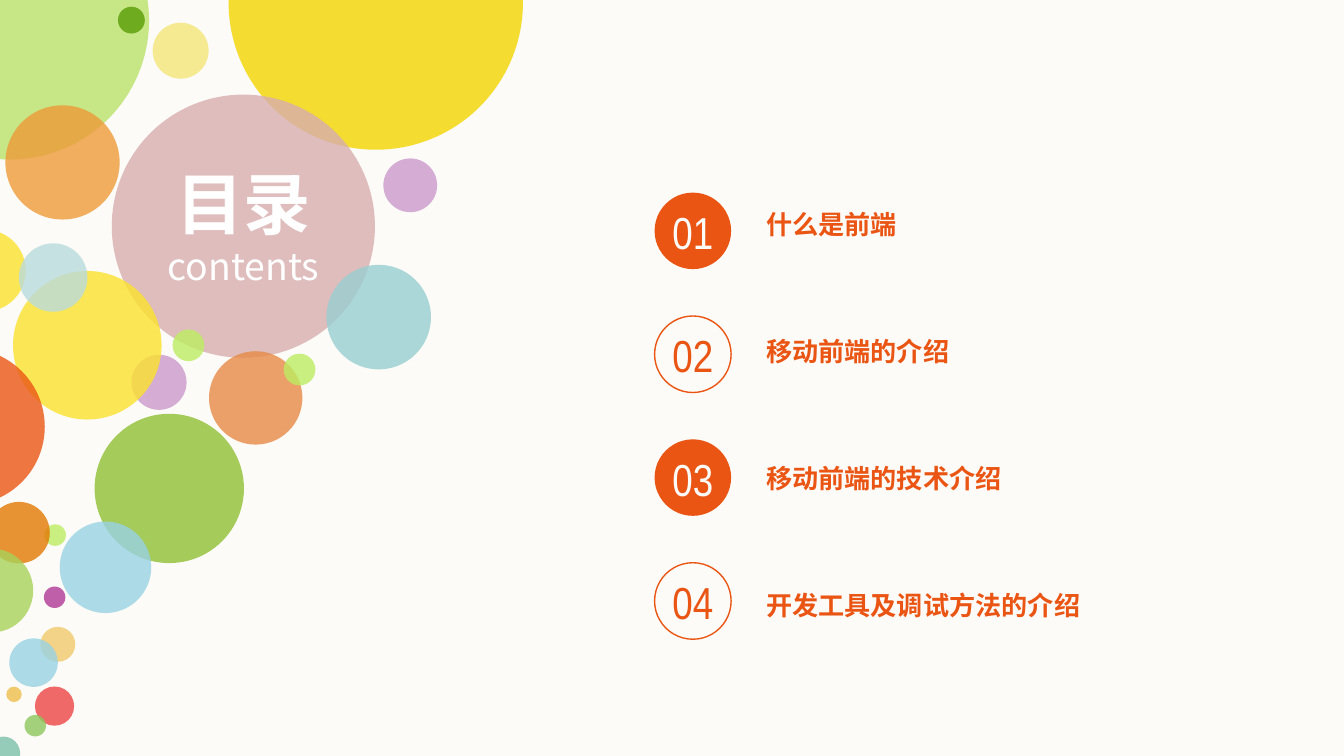
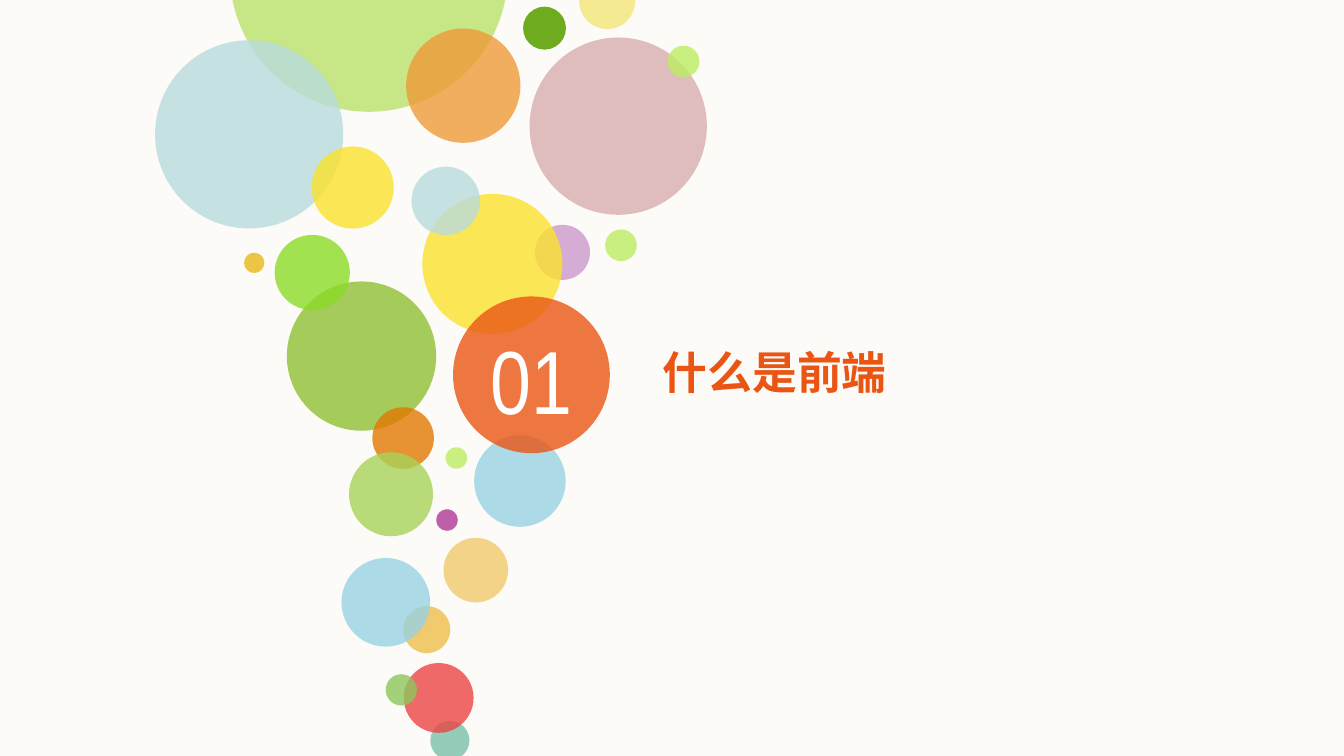
import dataclasses

import lxml.etree
import pptx
import pptx.dml.color
import pptx.enum.shapes
import pptx.enum.text
import pptx.oxml.ns
import pptx.util


class Theme:
    """Colours, fonts and type sizes shared by the slides."""

    PAPER = "FCFBF7"
    WHITE = "FFFFFF"
    ACCENT = "EA5514"
    YELLOW = "FBE22D"
    MINT = "BCED61"
    LILAC = "CB99CC"
    SAND = "F0CA6C"
    SKY = "98D2E3"
    MIST = "B9DBDD"
    LATIN = "Arial Narrow"
    HAN = "Noto Sans CJK SC"
    SECTION_NUMBER, TITLE, SECTION_TITLE = 48, 36, 24
    AGENDA_NUMBER, SUBTITLE, AGENDA_LABEL = 24, 20, 14


@dataclasses.dataclass
class Bubble:
    """A decorative bubble: its colour, usual diameter and opacity in percent."""

    color: str
    diameter: float
    opacity: int = 80


BUBBLES_BACK_TO_FRONT = {
    "lime": Bubble("BAE36B", 149),
    "leaf": Bubble("6EAB1F", 14.4, 100),
    "haze": Bubble(Theme.MIST, 100.8),
    "peach": Bubble("ED9B38", 61.2),
    "cream": Bubble("F5EA91", 30, 100),
    "sun": Bubble("F4D500", 157.7),
    "rose": Bubble("D8AEAF", 141),
    "teal": Bubble("99CED2", 56),
    "side lilac": Bubble(Theme.LILAC, 28.8),
    "copper": Bubble("E78A47", 50),
    "olive": Bubble("A5CB5A", 80, 100),
    "right mint": Bubble(Theme.MINT, 17),
    "left mint": Bubble(Theme.MINT, 17),
    "lilac": Bubble(Theme.LILAC, 29.5),
    "yellow": Bubble(Theme.YELLOW, 79.6),
    "small yellow": Bubble(Theme.YELLOW, 44),
    "grass": Bubble("8CDB27", 40.3),
    "mustard": Bubble("E9B915", 10.8),
    "small mint": Bubble(Theme.MINT, 11.5),
    "purple": Bubble("B03896", 11.5),
    "sand": Bubble(Theme.SAND, 18.7),
    "amber": Bubble(Theme.SAND, 8.3, 100),
    "sea": Bubble("7BBFAA", 18),
    "red": Bubble("EB4544", 21),
    "fern": Bubble("8DC65B", 11.5),
    "small sky": Bubble(Theme.SKY, 26),
    "mist": Bubble(Theme.MIST, 36.7),
    "sky": Bubble(Theme.SKY, 49),
    "orange": Bubble("E27902", 33),
    "moss": Bubble("A9D25A", 45),
    "accent": Bubble(Theme.ACCENT, 84),
}

CONTENTS_CENTRES = {
    "lime": (5.4, 11), "leaf": (70.4, 10.8), "cream": (96.8, 27.2), "sun": (201.3, 1.4),
    "peach": (33.5, 87), "rose": (130.4, 121.2), "side lilac": (219.8, 99.3),
    "small yellow": (-8.2, 145), "mist": (28.5, 148.7), "teal": (202.9, 169.9),
    "yellow": (46.8, 185), "left mint": (101, 185), "right mint": (160.5, 198),
    "lilac": (85.2, 204.8), "copper": (137, 213.2), "accent": (-18, 228.6),
    "olive": (90.7, 261.7), "orange": (10.2, 285.4), "small mint": (29.6, 286.7),
    "sky": (56.5, 303.9), "moss": (-4.7, 316.4), "purple": (29.3, 320),
    "sand": (31, 345.2), "small sky": (18, 355), "amber": (7.5, 372),
    "red": (29.2, 378.3), "fern": (18.9, 388.8), "sea": (1.8, 403.6),
}

SECTION_CENTRES = {
    "lime": (197.6, -14.6), "cream": (325.3, 0.6), "leaf": (291.7, 15.1),
    "right mint": (366.2, 33), "peach": (248.2, 45.9), "rose": (331.2, 67.6),
    "haze": (133.5, 72), "small yellow": (189, 100.5), "mist": (238.8, 107.6),
    "left mint": (332.7, 131.4), "lilac": (301.3, 135.2), "mustard": (136.2, 140.8),
    "yellow": (263.8, 141.4), "grass": (167.3, 146), "olive": (193.7, 190.8),
    "accent": (284.7, 200.8), "orange": (216, 234.7), "small mint": (244.5, 245.4),
    "sky": (278.5, 257.7), "moss": (209.5, 264.8), "purple": (239.5, 278.6),
    "sand": (254.9, 305.4), "small sky": (206.7, 322.7), "amber": (228.6, 337.3),
    "fern": (215, 369.6), "red": (235, 373.9), "sea": (241, 396.7),
}

SECTION_DIAMETERS = {
    "leaf": 23, "rose": 95, "yellow": 75, "sand": 34.6, "amber": 25.2,
    "sea": 21, "red": 37.4, "fern": 16.8, "small sky": 47.5,
}

AGENDA = ["什么是前端", "移动前端的介绍", "移动前端的技术介绍", "开发工具及调试方法的介绍"]
AGENDA_DISC_X, AGENDA_DISC_Y, AGENDA_DISC_PITCH, AGENDA_DISC = 371.2, 123.7, 66.1, 41
AGENDA_LABEL_LEFT, AGENDA_LABEL_TOP, AGENDA_LABEL_PITCH = 410.4, 111.6, 68.1


def rgb(color):
    """Return a colour object for a hex string."""
    return pptx.dml.color.RGBColor.from_string(color)


def points(*lengths):
    """Convert lengths in points to slide units."""
    return [pptx.util.Pt(length) for length in lengths]


def add_page(deck):
    """Add a blank page with the paper background."""
    page = deck.slides.add_slide(deck.slide_layouts[6])
    page.background.fill.solid()
    page.background.fill.fore_color.rgb = rgb(Theme.PAPER)
    return page


def add_circle(page, centre, diameter, fill=None, line=None, opacity=100):
    """Add a circle around a centre with an optional fill and outline."""
    left, top = (middle - diameter / 2 for middle in centre)
    circle = page.shapes.add_shape(
        pptx.enum.shapes.MSO_SHAPE.OVAL, *points(left, top, diameter, diameter))
    circle.shadow.inherit = False
    if fill:
        circle.fill.solid()
        circle.fill.fore_color.rgb = rgb(fill)
    else:
        circle.fill.background()
    if line:
        circle.line.color.rgb = rgb(line)
        circle.line.width = pptx.util.Pt(0.75)
    else:
        circle.line.fill.background()
    if opacity < 100:
        qn = pptx.oxml.ns.qn
        color = circle.element.spPr.find(qn("a:solidFill")).find(qn("a:srgbClr"))
        lxml.etree.SubElement(color, qn("a:alpha")).set("val", str(opacity * 1000))


def add_bubbles(page, centres, diameters):
    """Draw the bubbles that have a centre on this page, in stacking order."""
    for name, bubble in BUBBLES_BACK_TO_FRONT.items():
        if name in centres:
            diameter = diameters.get(name, bubble.diameter)
            add_circle(page, centres[name], diameter, bubble.color, opacity=bubble.opacity)


def add_text(page, place, lines, color, centered=False, latin=Theme.LATIN):
    """Add a text box whose lines are (text, size, bold) tuples."""
    box = page.shapes.add_textbox(*points(*place))
    frame = box.text_frame
    frame.word_wrap = True
    frame.auto_size = pptx.enum.text.MSO_AUTO_SIZE.SHAPE_TO_FIT_TEXT
    frame.margin_left = frame.margin_right = frame.margin_top = frame.margin_bottom = 0
    qn = pptx.oxml.ns.qn
    for index, (text, size, bold) in enumerate(lines):
        para = frame.add_paragraph() if index else frame.paragraphs[0]
        para.text = text
        if centered:
            para.alignment = pptx.enum.text.PP_ALIGN.CENTER
        para.font.size = pptx.util.Pt(size)
        para.font.bold = bold
        para.font.name = latin
        para.font.color.rgb = rgb(color)
        defaults = para._p.pPr.find(qn("a:defRPr"))
        lxml.etree.SubElement(defaults, qn("a:ea")).set("typeface", Theme.HAN)


def add_circle_text(page, centre, width, height, lines, color, latin=Theme.LATIN):
    """Add centred text in the middle of a circle."""
    x, y = centre
    place = (x - width / 2, y - height / 2, width, height)
    add_text(page, place, lines, color, centered=True, latin=latin)


def add_agenda_item(page, index, label):
    """Add a numbered disc and its label; discs alternate filled and outlined."""
    centre = (AGENDA_DISC_X, AGENDA_DISC_Y + index * AGENDA_DISC_PITCH)
    if index % 2 == 0:
        add_circle(page, centre, AGENDA_DISC, fill=Theme.ACCENT)
        number_color = Theme.PAPER
    else:
        add_circle(page, centre, AGENDA_DISC, line=Theme.ACCENT)
        number_color = Theme.ACCENT
    number = [(f"{index + 1:02}", Theme.AGENDA_NUMBER, False)]
    add_circle_text(page, centre, AGENDA_DISC, 28, number, number_color)
    label_top = AGENDA_LABEL_TOP + index * AGENDA_LABEL_PITCH
    add_text(page, (AGENDA_LABEL_LEFT, label_top, 170.6, 17.3),
             [(label, Theme.AGENDA_LABEL, True)], Theme.ACCENT)


def build_contents(deck):
    """Build the contents page, with its title in the rose bubble."""
    page = add_page(deck)
    add_bubbles(page, CONTENTS_CENTRES, {})
    title = [("目录", Theme.TITLE, True), ("contents", Theme.SUBTITLE, False)]
    add_circle_text(page, CONTENTS_CENTRES["rose"], 108.7, 68, title, Theme.WHITE, Theme.HAN)
    for index, label in enumerate(AGENDA):
        add_agenda_item(page, index, label)


def build_section(deck, index):
    """Build a section opening, with its number in the accent bubble."""
    page = add_page(deck)
    add_bubbles(page, SECTION_CENTRES, SECTION_DIAMETERS)
    number = [(f"{index + 1:02}", Theme.SECTION_NUMBER, False)]
    add_circle_text(page, SECTION_CENTRES["accent"], 57.6, 53.5, number, Theme.WHITE)
    add_text(page, (355, 184.7, 218.9, 28.8),
             [(AGENDA[index], Theme.SECTION_TITLE, True)], Theme.ACCENT)


def main():
    """Build and save the deck."""
    deck = pptx.Presentation()
    deck.slide_width, deck.slide_height = points(720, 405)
    build_contents(deck)
    build_section(deck, 0)
    deck.save("out.pptx")


if __name__ == "__main__":
    main()
